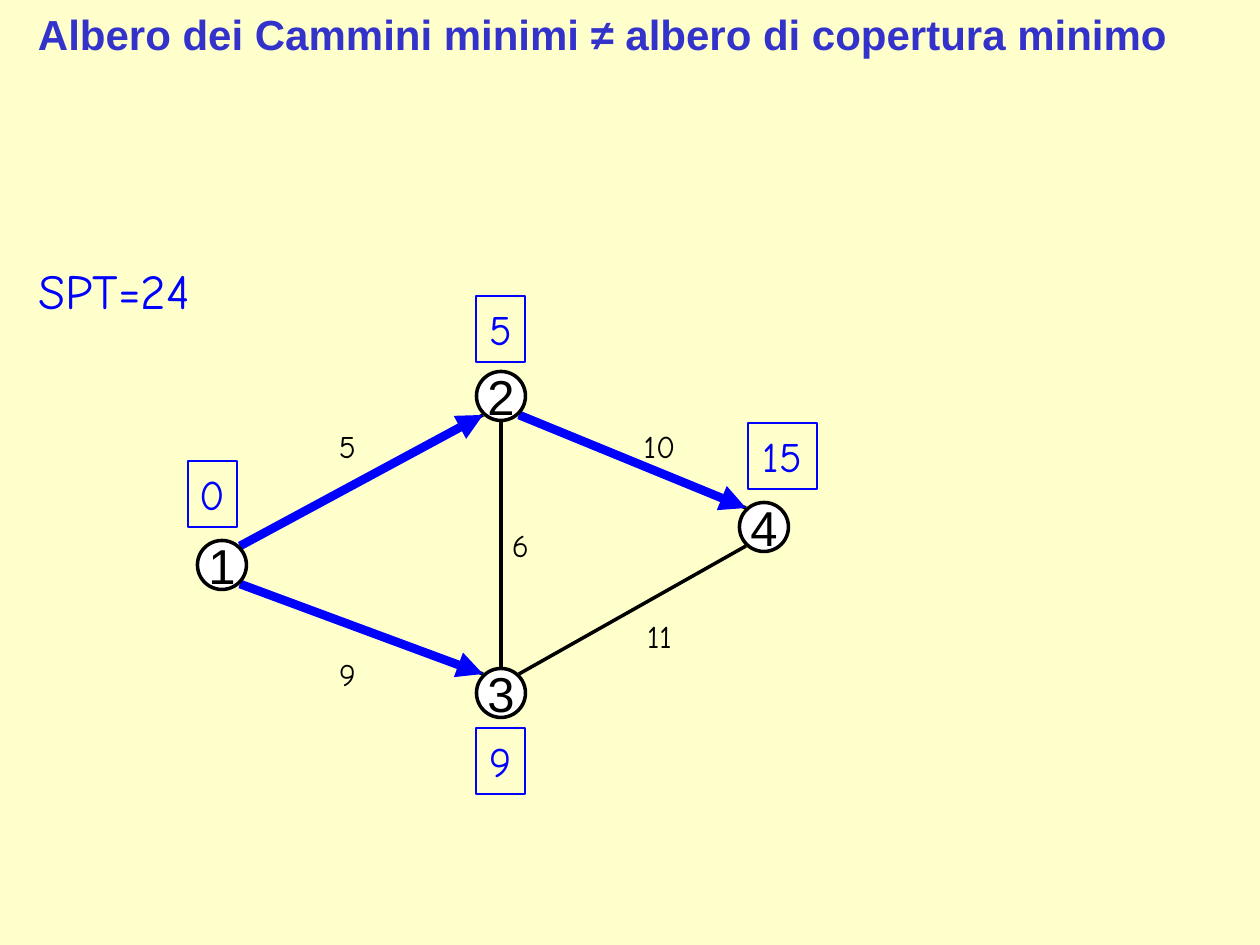
from pptx import Presentation
from pptx.dml.color import RGBColor
from pptx.enum.shapes import MSO_CONNECTOR, MSO_SHAPE
from pptx.enum.text import MSO_ANCHOR, MSO_AUTO_SIZE, PP_ALIGN
from pptx.util import Pt
from lxml import etree

LINE = MSO_CONNECTOR.STRAIGHT
OVAL, RECT = MSO_SHAPE.OVAL, MSO_SHAPE.RECTANGLE
TOP, MID = MSO_ANCHOR.TOP, MSO_ANCHOR.MIDDLE
LEFT, CENTER = PP_ALIGN.LEFT, PP_ALIGN.CENTER
GROW, FIXED = MSO_AUTO_SIZE.SHAPE_TO_FIT_TEXT, MSO_AUTO_SIZE.NONE

CREAM = RGBColor(0xFF, 0xFF, 0xCC)
WHITE = RGBColor(0xFF, 0xFF, 0xFF)
BLACK = RGBColor(0, 0, 0)
BLUE = RGBColor(0, 0, 0xFF)
INDIGO = RGBColor(0x33, 0x33, 0xCC)
SANS, HAND = "Arial", "Comic Neue"

TITLE = "Albero dei Cammini minimi ≠ albero di copertura minimo"
TOTAL = "SPT=24"
NODES = {"1": (222, 565), "2": (501, 396), "3": (501, 693), "4": (764, 527)}
TREE = [("1", "2"), ("1", "3"), ("2", "4")]
REST = [("2", "3"), ("3", "4")]
COSTS = [("5", 318, 421), ("9", 318, 649), ("6", 491, 520),
         ("10", 630, 421), ("11", 630, 611)]
DISTS = [("0", 188, 461, 49), ("5", 476, 296, 49),
         ("9", 476, 728, 49), ("15", 748, 423, 69)]
SIZE = 49


def px(n):
    return round(n * 914400 / 126)


def sign(n):
    return (n > 0) - (n < 0)


def write(shape, text, size, font, color, side=0, anchor=TOP,
          align=CENTER, wrap=True, fit=GROW, bold=False):
    frame = shape.text_frame
    frame.word_wrap = wrap
    frame.auto_size = fit
    frame.vertical_anchor = anchor
    frame.margin_left = frame.margin_right = px(side)
    frame.margin_top = frame.margin_bottom = px(6)
    para = frame.paragraphs[0]
    para.alignment = align
    run = para.add_run()
    run.text = text
    run.font.size = Pt(size)
    run.font.name = font
    run.font.bold = bold
    run.font.color.rgb = color


def label(box, *args, **style):
    write(slide.shapes.add_textbox(*map(px, box)), *args, **style)


def outline(kind, box, color, width, fill=None):
    shape = slide.shapes.add_shape(kind, *map(px, box))
    shape.shadow.inherit = False
    if fill is None:
        shape.fill.background()
    else:
        shape.fill.solid()
        shape.fill.fore_color.rgb = fill
    shape.line.color.rgb = color
    shape.line.width = Pt(width)
    return shape


def edge(start, end, color, width, arrow=False):
    (x1, y1), (x2, y2) = NODES[start], NODES[end]
    dx = 18 * sign(x2 - x1)
    dy = (19 if dx else 26) * sign(y2 - y1)
    ends = (x1 + dx, y1 + dy, x2 - dx, y2 - dy)
    wire = slide.shapes.add_connector(LINE, *map(px, ends))
    wire.line.color.rgb = color
    wire.line.width = Pt(width)
    props = wire.line._get_or_add_ln()
    space = "{%s}" % props.nsmap["a"]
    if arrow:
        etree.SubElement(props, space + "tailEnd", type="triangle")
    etree.SubElement(props.getparent(), space + "effectLst")


deck = Presentation()
deck.slide_width, deck.slide_height = px(1260), px(945)
slide = deck.slides.add_slide(deck.slide_layouts[6])
slide.background.fill.solid()
slide.background.fill.fore_color.rgb = CREAM

for pair in TREE + REST:
    edge(*pair, BLACK, 2)
for pair in TREE:
    edge(*pair, BLUE, 5, arrow=True)

for name, (x, y) in NODES.items():
    box = (x - SIZE / 2, y - SIZE / 2, SIZE, SIZE)
    write(outline(OVAL, box, BLACK, 2, WHITE), name, 28, SANS, BLACK,
          anchor=MID, wrap=False, fit=FIXED)

for cost, x, y in COSTS:
    label((x, y, 59, 50), cost, 18, HAND, BLACK)

for dist, x, y, wide in DISTS:
    write(outline(RECT, (x, y, wide, 66), BLUE, 1.5), dist, 24, HAND, BLUE,
          side=10, anchor=MID)

label((15, 255, 198, 72), TOTAL, 28, HAND, BLUE)
label((25, 11, 1205, 45), TITLE, 24, SANS, INDIGO, side=13, anchor=MID,
      align=LEFT, fit=FIXED, bold=True)

deck.save("out.pptx")
